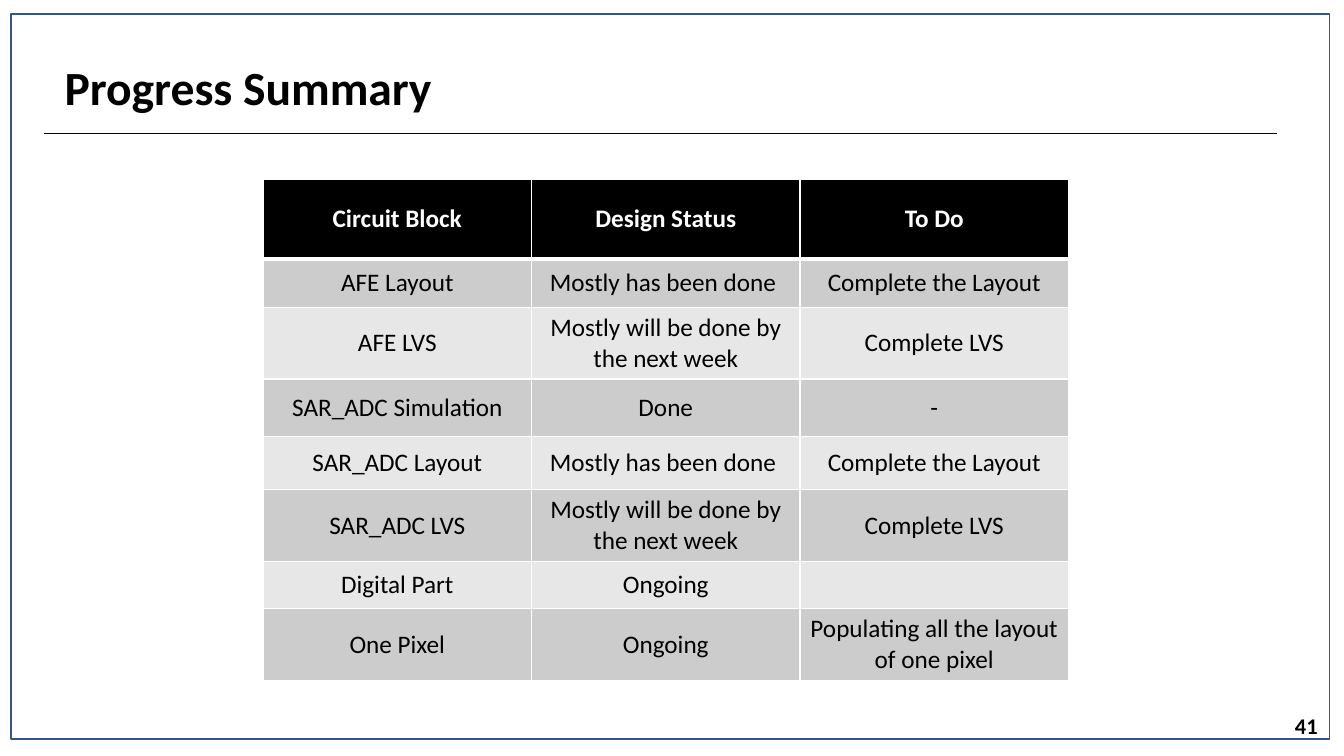
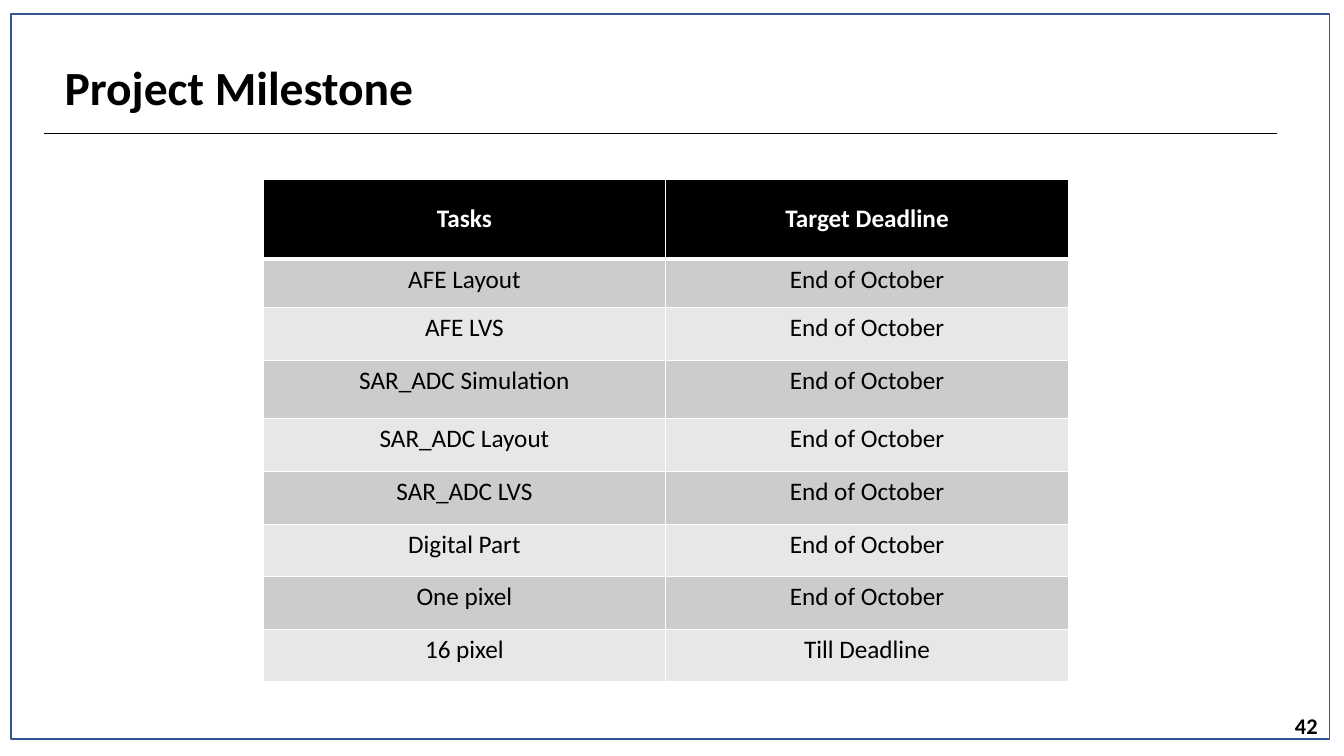
from lxml.etree import SubElement
from pptx import Presentation
from pptx.dml.color import RGBColor
from pptx.enum.shapes import MSO_CONNECTOR, MSO_SHAPE
from pptx.enum.text import MSO_ANCHOR, MSO_AUTO_SIZE, PP_ALIGN
from pptx.oxml.ns import qn
from pptx.util import Inches, Pt

GRID_COLUMNS, GRID_ROWS = 80, 45
FIRST_PAGE = 41


def color(hex_code):
    return RGBColor.from_string(hex_code)


def write(frame, text, size=18, ink="000000", bold=False,
          align=PP_ALIGN.LEFT, spacing=1.0):
    frame.word_wrap = True
    paragraph = frame.paragraphs[0]
    paragraph.alignment = align
    paragraph.line_spacing = spacing
    if not text:
        paragraph.font.size = Pt(size)
        return
    run = paragraph.add_run()
    run.text = text
    run.font.name = Deck.FONT
    run.font.size = Pt(size)
    run.font.bold = bold
    run.font.color.rgb = color(ink)


def add_border(cell, side, width, ink):
    """Add one cell edge; side is L, R, T or B. Call before filling the cell."""
    edge = SubElement(cell._tc.get_or_add_tcPr(), qn(f"a:ln{side}"), w=str(Pt(width)))
    SubElement(SubElement(edge, qn("a:solidFill")), qn("a:srgbClr"), val=ink)


class Deck:
    FONT = "Calibri"
    INK = "000000"
    PAPER = "FFFFFF"
    FRAME = "325491"
    BANDS = ("CCCCCC", "E7E7E7")
    TABLE_LEFT, TABLE_TOP, TABLE_WIDTH = 15.66, 10.68, 47.94

    def __init__(self):
        self.prs = Presentation()
        self.prs.slide_width = Inches(13.33)
        self.prs.slide_height = Inches(7.5)
        self.slide = None

    def x(self, columns):
        return round(self.prs.slide_width * columns / GRID_COLUMNS)

    def y(self, rows):
        return round(self.prs.slide_height * rows / GRID_ROWS)

    def box(self, left, top, width, height):
        return self.x(left), self.y(top), self.x(width), self.y(height)

    def start_slide(self, title):
        self.slide = self.prs.slides.add_slide(self.prs.slide_layouts[5])
        self.title(title)
        self.rule()

    def title(self, text):
        title = self.slide.shapes.title
        title.left, title.top, title.width, title.height = self.box(3.24, 1.68, 72.78, 5.52)
        title.text_frame.auto_size = MSO_AUTO_SIZE.NONE
        title.text_frame.vertical_anchor = MSO_ANCHOR.BOTTOM
        write(title.text_frame, text, size=34, ink=self.INK, bold=True, spacing=0.9)

    def rule(self):
        rule = self.slide.shapes.add_connector(
            MSO_CONNECTOR.STRAIGHT, self.x(2.64), self.y(7.92), self.x(76.02), self.y(7.92))
        rule.line.color.rgb = color(self.INK)
        rule.line.width = Pt(0.5)
        SubElement(rule._element.spPr, qn("a:effectLst"))

    def table(self, records, row_heights, body_anchor):
        column_count = len(records[0])
        table = self.slide.shapes.add_table(
            len(records), column_count,
            *self.box(self.TABLE_LEFT, self.TABLE_TOP, self.TABLE_WIDTH, sum(row_heights))).table
        table.horz_banding = False
        for column in table.columns:
            column.width = self.x(self.TABLE_WIDTH / column_count)
        for index, (record, height) in enumerate(zip(records, row_heights)):
            table.rows[index].height = self.y(height)
            for cell, text in zip(table.rows[index].cells, record):
                self.cell(cell, text, index, body_anchor)

    def cell(self, cell, text, row, body_anchor):
        header = row == 0
        edges = {"L": 1, "R": 1, "T": 3 if row == 1 else 1, "B": 3 if header else 1}
        for side, width in edges.items():
            add_border(cell, side, width, self.PAPER)
        cell.fill.solid()
        cell.fill.fore_color.rgb = color(self.INK if header else self.BANDS[(row - 1) % 2])
        cell.vertical_anchor = MSO_ANCHOR.MIDDLE if header else body_anchor
        write(cell.text_frame, text, ink=self.PAPER if header else self.INK,
              bold=header, align=PP_ALIGN.CENTER)

    def page_number(self):
        number = self.slide.shapes.add_textbox(*self.box(69.9, 42.12, 9.12, 2.1))
        number.text_frame.vertical_anchor = MSO_ANCHOR.MIDDLE
        page = FIRST_PAGE + len(self.prs.slides) - 1
        write(number.text_frame, str(page), size=16, ink=self.INK, bold=True,
              align=PP_ALIGN.RIGHT)

    def frame(self):
        frame = self.slide.shapes.add_shape(
            MSO_SHAPE.RECTANGLE, *self.box(0.66, 0.84, 78.48, 43.14))
        frame.shadow.inherit = False
        frame.fill.background()
        frame.line.color.rgb = color(self.FRAME)
        frame.line.width = Pt(1)

    def finish_slide(self):
        self.page_number()
        self.frame()


PROGRESS = [
    ("Circuit Block", "Design Status", "To Do"),
    ("AFE Layout", "Mostly has been done ", "Complete the Layout"),
    ("AFE LVS", "Mostly will be done by the next week", "Complete LVS"),
    ("SAR_ADC Simulation", "Done", "-"),
    ("SAR_ADC Layout", "Mostly has been done ", "Complete the Layout"),
    ("SAR_ADC LVS", "Mostly will be done by the next week", "Complete LVS"),
    ("Digital Part", "Ongoing", ""),
    ("One Pixel", "Ongoing", "Populating all the layout of one pixel"),
]
OCTOBER_TASKS = ("AFE Layout", "AFE LVS", "SAR_ADC Simulation", "SAR_ADC Layout",
                 "SAR_ADC LVS", "Digital Part", "One pixel")
MILESTONES = [
    ("Tasks", "Target Deadline"),
    *((task, "End of October") for task in OCTOBER_TASKS),
    ("16 pixel", "Till Deadline"),
]


def main():
    deck = Deck()

    deck.start_slide("Progress Summary")
    deck.table(PROGRESS, [4.74, 2.88, 4.26, 3.42, 3.18, 4.26, 2.82, 4.26],
               MSO_ANCHOR.MIDDLE)
    deck.finish_slide()

    deck.start_slide("Project Milestone")
    deck.table(MILESTONES, [4.74, 2.88, 3.18, 3.42, 3.18] + [3.13] * 4,
               MSO_ANCHOR.TOP)
    deck.finish_slide()

    deck.prs.save("out.pptx")


if __name__ == "__main__":
    main()
